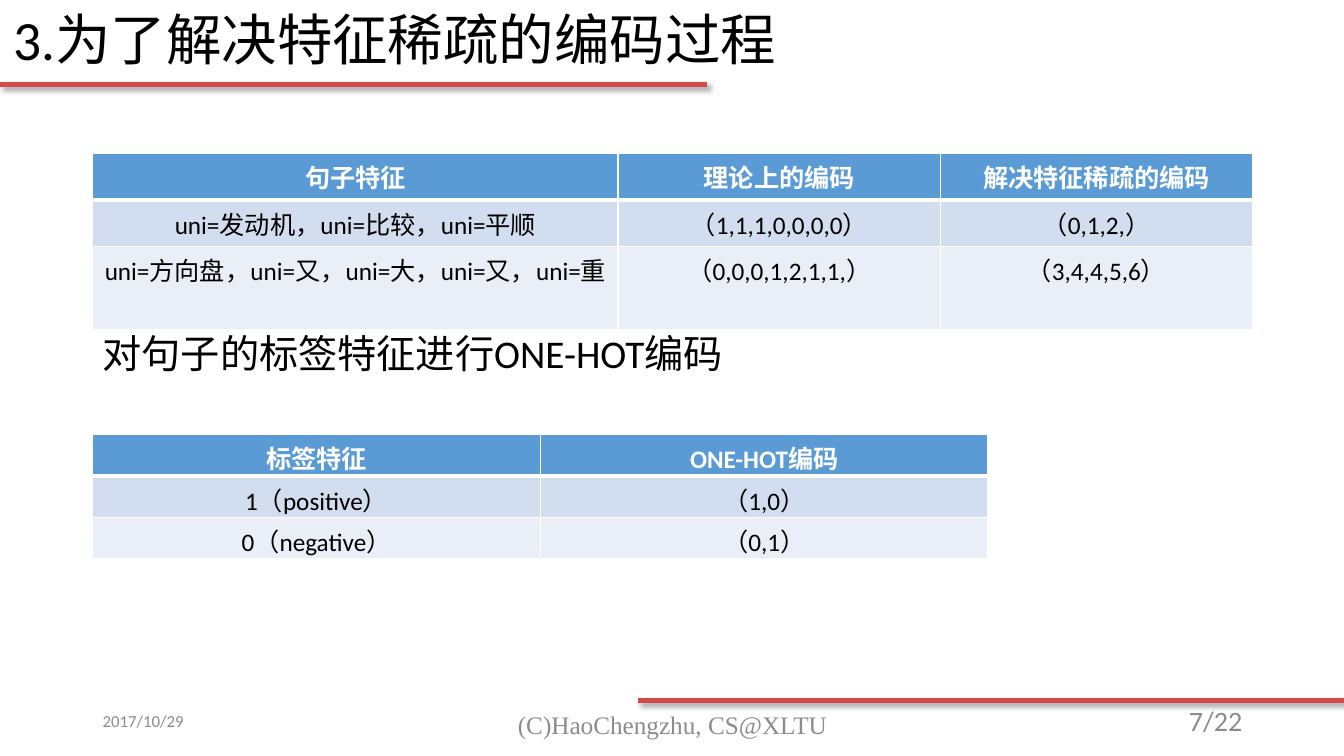
"""Builds a slide on encoding sparse sentence features and one-hot labels."""
from lxml.etree import SubElement
from pptx import Presentation
from pptx.dml.color import RGBColor
from pptx.enum.shapes import MSO_CONNECTOR
from pptx.enum.text import MSO_ANCHOR, MSO_AUTO_SIZE, PP_ALIGN
from pptx.oxml import parse_xml
from pptx.oxml.ns import nsdecls, qn
from pptx.util import Inches, Pt

COLORS = {"rule": "D44A4A", "black": "000000", "white": "FFFFFF", "grey": "8C8C8C",
          "header": "5B9BD5", "band1": "D2DEEF", "band2": "EAEFF7"}
TITLE = "3.为了解决特征稀疏的编码过程"
RULES = [(0, 7.01, 0.84), (6.33, 13.33, 6.95)]
TABLES = [
    {"top": 1.52, "cols": [5.21, 3.2, 3.09], "bottom_margin": 0.05, "rows": [
        ["句子特征", "理论上的编码", "解决特征稀疏的编码"],
        ["uni=发动机，uni=比较，uni=平顺", "（1,1,1,0,0,0,0）", "（0,1,2,）"],
        ["uni=方向盘，uni=又，uni=大，uni=又，uni=重", "（0,0,0,1,2,1,1,）", "（3,4,4,5,6）"]]},
    {"top": 4.31, "cols": [4.44, 4.44], "bottom_margin": 0, "rows": [
        ["标签特征", "ONE-HOT编码"],
        ["1（positive）", "（1,0）"],
        ["0（negative）", "（0,1）"]]},
]
LEFT, ROW_H = 0.92, 0.41
GREY = {"color": "grey", "anchor": MSO_ANCHOR.MIDDLE}
TEXTS = [
    ("对句子的标签特征进行ONE-HOT编码", (LEFT, 3.22, 6.61, 0.57), {"size": 28}),
    ("2017/10/29", (LEFT, 6.95, 3, 0.4), {**GREY, "size": 12}),
    ("(C)HaoChengzhu, CS@XLTU", (4.42, 6.99, 4.5, 0.4),
     {**GREY, "size": 18, "name": "Times New Roman", "align": PP_ALIGN.CENTER}),
    ("7/22", (9.42, 6.95, 3, 0.4), {**GREY, "size": 20, "align": PP_ALIGN.RIGHT}),
]


def rgb(name):
    return RGBColor.from_string(COLORS[name])


def write(tf, text, size, color="black", name="Calibri", bold=False,
          align=PP_ALIGN.LEFT, anchor=MSO_ANCHOR.TOP):
    tf.word_wrap = True
    tf.vertical_anchor = anchor
    p = tf.paragraphs[0]
    p.alignment = align
    r = p.add_run()
    r.text = text
    for key, value in {"size": Pt(size), "name": name, "bold": bold}.items():
        setattr(r.font, key, value)
    r.font.color.rgb = rgb(color)
    return p


def add_rule(slide, x1, x2, y):
    line = slide.shapes.add_connector(
        MSO_CONNECTOR.STRAIGHT, Inches(x1), Inches(y), Inches(x2), Inches(y))
    line.line.color.rgb = rgb("rule")
    line.line.width = Pt(4)
    line._element.spPr.append(parse_xml(
        f'<a:effectLst {nsdecls("a")}><a:outerShdw blurRad="{Pt(4)}" dist="{Pt(3)}" '
        f'dir="2700000" algn="tl" rotWithShape="0"><a:srgbClr val="{COLORS["black"]}">'
        '<a:alpha val="40000"/></a:srgbClr></a:outerShdw></a:effectLst>'))


def add_borders(cell, widths):
    tcPr = cell._tc.get_or_add_tcPr()
    for i, (side, width) in enumerate(widths.items()):
        ln = SubElement(tcPr, qn(f"a:ln{side}"), w=str(Pt(width)))
        fill = SubElement(ln, qn("a:solidFill"))
        SubElement(fill, qn("a:srgbClr"), val=COLORS["white"])
        tcPr.insert(i, ln)


def add_grid(slide, top, cols, rows, bottom_margin):
    table = slide.shapes.add_table(
        len(rows), len(cols), Inches(LEFT), Inches(top),
        Inches(sum(cols)), Inches(ROW_H * len(rows))).table
    for col, width in zip(table.columns, cols):
        col.width = Inches(width)
    for i, row in enumerate(rows):
        table.rows[i].height = Inches(ROW_H)
        for j, text in enumerate(row):
            cell = table.cell(i, j)
            cell.margin_bottom = Inches(bottom_margin)
            cell.fill.solid()
            cell.fill.fore_color.rgb = rgb(("header", "band1", "band2")[i])
            write(cell.text_frame, text, 18, "black" if i else "white",
                  bold=i == 0, align=PP_ALIGN.CENTER)
            add_borders(cell, {"L": 1, "R": 1, "T": 3 if i == 1 else 1, "B": 1 if i else 3})


def main():
    prs = Presentation()
    prs.slide_width, prs.slide_height = Inches(13.33), Inches(7.5)
    slide = prs.slides.add_slide(prs.slide_layouts[5])
    for rule in RULES:
        add_rule(slide, *rule)
    title = slide.shapes.title
    box = {"left": 0.03, "top": 0, "width": 8.06, "height": 0.84}
    for key, value in box.items():
        setattr(title, key, Inches(value))
    title.text_frame.auto_size = MSO_AUTO_SIZE.NONE
    p = write(title.text_frame, TITLE, 39.6, anchor=MSO_ANCHOR.MIDDLE)
    p.line_spacing = 0.9
    for table in TABLES:
        add_grid(slide, **table)
    for text, place, style in TEXTS:
        sp = slide.shapes.add_textbox(*map(Inches, place))
        write(sp.text_frame, text, **style)
    prs.save("out.pptx")


if __name__ == "__main__":
    main()
